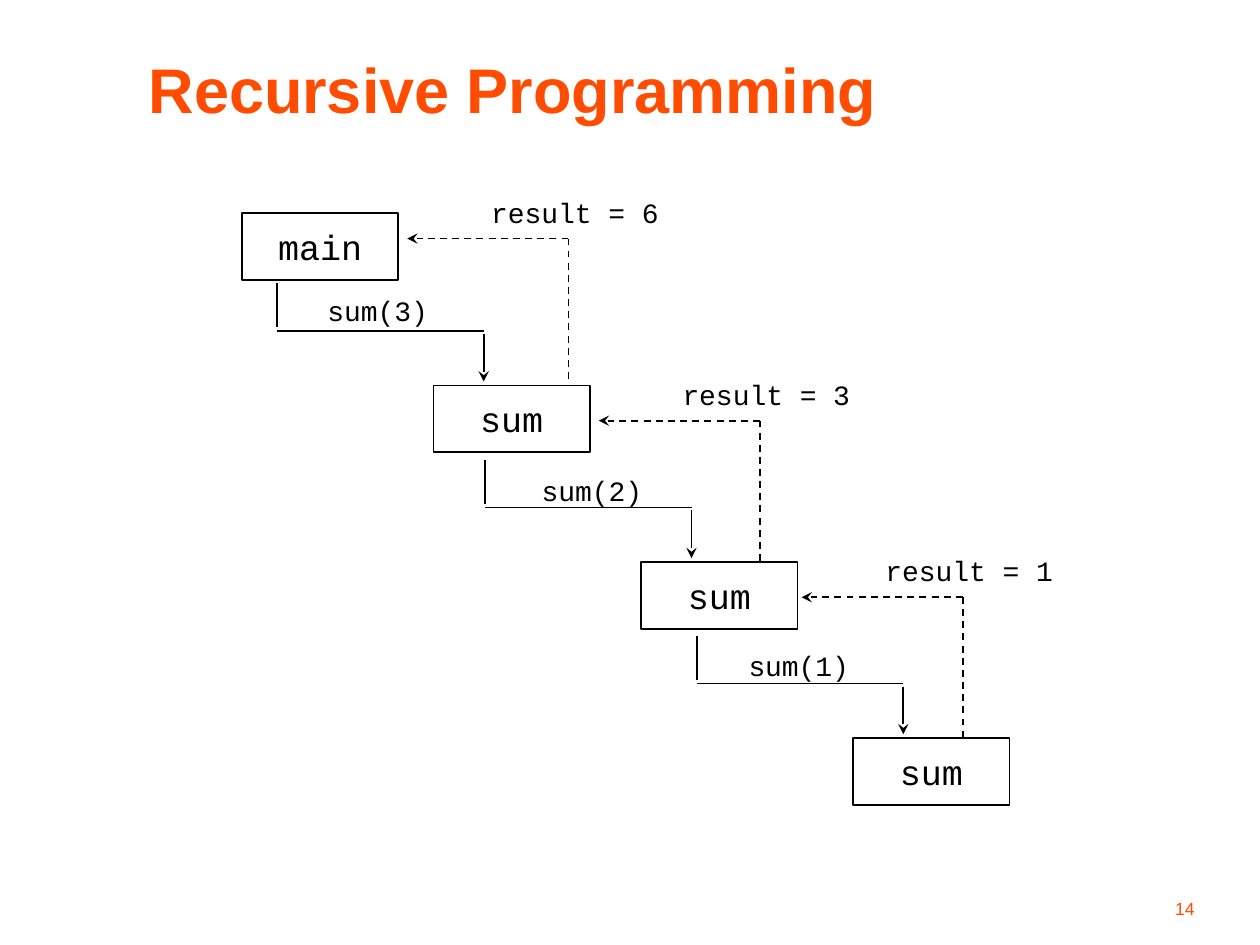
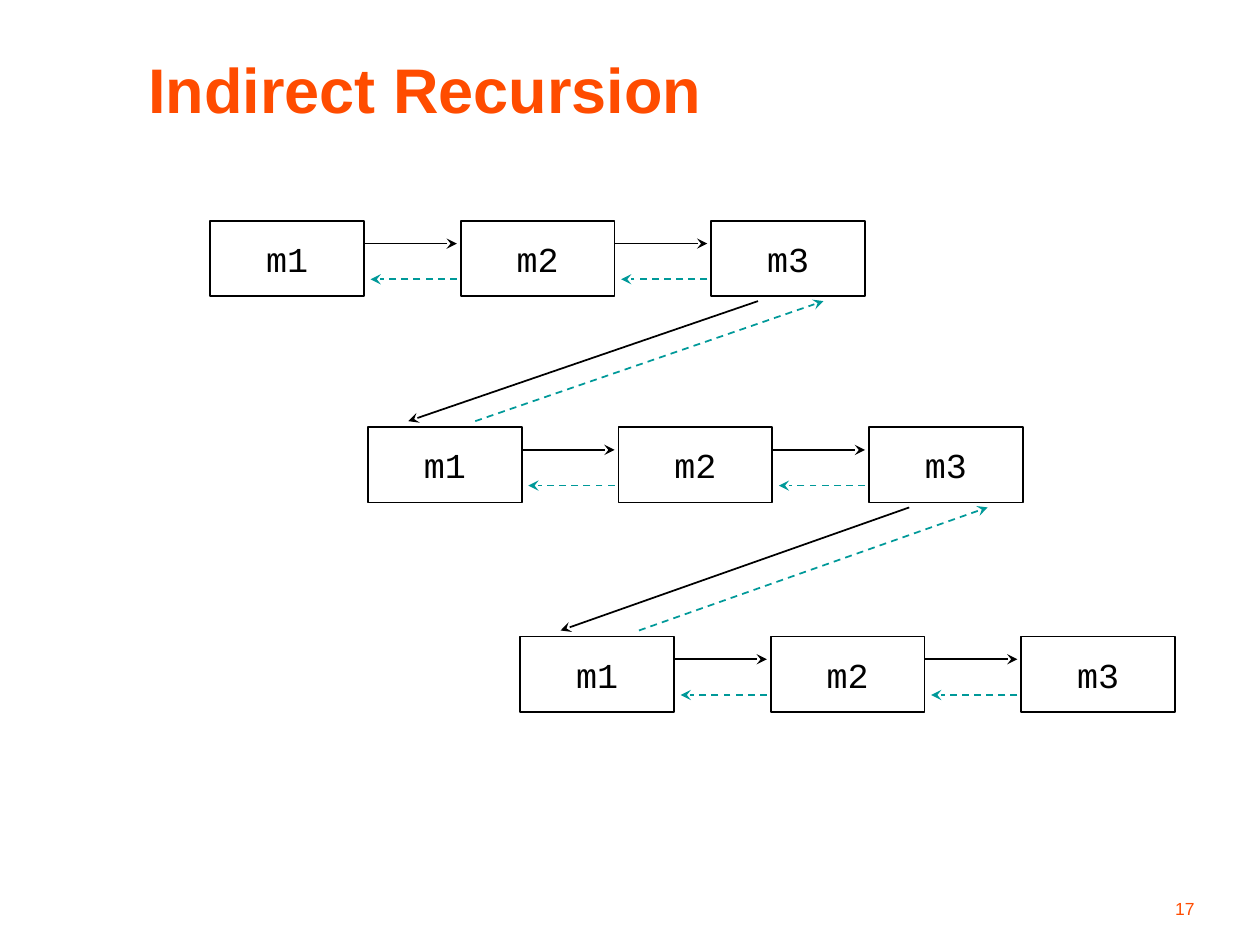
from dataclasses import dataclass

from pptx import Presentation
from pptx.dml.color import RGBColor
from pptx.enum import dml, shapes, text
from pptx.oxml import ns
from pptx.util import Cm, Pt
from lxml import etree


@dataclass(frozen=True)
class Theme:
    accent: RGBColor = RGBColor(0xFF, 0x4C, 0x00)
    ink: RGBColor = RGBColor(0x00, 0x00, 0x00)
    teal: RGBColor = RGBColor(0x00, 0x99, 0x99)
    heading_font: str = "Arial"
    code_font: str = "Courier New"
    title_size: int = 36
    box_size: int = 20
    label_size: int = 16
    number_size: int = 10
    line_width: int = 1


THEME = Theme()
TITLE_ONLY = 5


@dataclass(frozen=True)
class Box:
    """A rectangle in centimetres."""
    left: float
    top: float
    width: float
    height: float

    @property
    def right(self):
        return self.left + self.width

    @property
    def bottom(self):
        return self.top + self.height

    def lengths(self):
        return [Cm(value) for value in (self.left, self.top, self.width, self.height)]


TITLE_BOX = Box(2.74, 0.84, 22.02, 1.9)
NUMBER_BOX = Box(19.05, 17.58, 5.28, 1.07)


@dataclass(frozen=True)
class Step:
    """One recursive call; offsets run from the corner of the called box."""
    box: Box
    call: str
    call_offset: tuple
    result: str
    return_offset: tuple


MAIN_BOX = Box(4.88, 4.29, 3.15, 1.35)
STEPS = [
    Step(Box(8.74, 7.77, 3.15, 1.35), "sum(3)", (-2.39, -1.98), "result = 6", (2.72, -2.96)),
    Step(Box(12.93, 11.33, 3.15, 1.35), "sum(2)", (-2.26, -1.9), "result = 3", (2.39, -2.85)),
    Step(Box(17.2, 14.88, 3.15, 1.35), "sum(1)", (-2.36, -1.93), "result = 1", (2.21, -2.84)),
]

METHODS = ["m1", "m2", "m3"]
METHOD_PITCH = 5.05
ROW_STARTS = [Box(4.24, 4.45, 3.1, 1.52), Box(7.42, 8.61, 3.1, 1.52), Box(10.49, 12.83, 3.1, 1.52)]
# Offsets from the left of m3 above and m1 below: call (m3, m1), return (m1, m3)
ROW_LINKS = [((0.94, 0.81), (2.16, 2.26)), ((0.81, 0.81), (2.39, 2.39))]


def write(shape, content, font, size, color, align, anchor, bold=False, wrap=False):
    frame = shape.text_frame
    frame.text = content
    frame.word_wrap = wrap
    frame.auto_size = text.MSO_AUTO_SIZE.NONE
    frame.vertical_anchor = anchor
    paragraph = frame.paragraphs[0]
    paragraph.alignment = align
    run_font = paragraph.runs[0].font
    run_font.name = font
    run_font.size = Pt(size)
    run_font.bold = bold
    run_font.color.rgb = color


def add_titled_slide(presentation, title, number):
    slide = presentation.slides.add_slide(presentation.slide_layouts[TITLE_ONLY])
    heading = slide.shapes.title
    heading.left, heading.top, heading.width, heading.height = TITLE_BOX.lengths()
    write(heading, title, THEME.heading_font, THEME.title_size, THEME.accent,
          text.PP_ALIGN.LEFT, text.MSO_ANCHOR.MIDDLE, bold=True, wrap=True)
    footer = slide.shapes.add_textbox(*NUMBER_BOX.lengths())
    write(footer, number, THEME.heading_font, THEME.number_size, THEME.accent,
          text.PP_ALIGN.RIGHT, text.MSO_ANCHOR.BOTTOM, wrap=True)
    return slide


def add_code_box(slide, box, name):
    shape = slide.shapes.add_shape(shapes.MSO_SHAPE.RECTANGLE, *box.lengths())
    shape.shadow.inherit = False
    shape.fill.background()
    shape.line.color.rgb = THEME.ink
    shape.line.width = Pt(THEME.line_width)
    write(shape, name, THEME.code_font, THEME.box_size, THEME.ink,
          text.PP_ALIGN.CENTER, text.MSO_ANCHOR.MIDDLE)


def add_label(slide, box, content):
    label = slide.shapes.add_textbox(*box.lengths())
    write(label, content, THEME.code_font, THEME.label_size, THEME.ink,
          text.PP_ALIGN.LEFT, text.MSO_ANCHOR.TOP)


def add_line(slide, start, end, color=THEME.ink, dashed=False, arrow=False):
    ends = [Cm(value) for value in (*start, *end)]
    connector = slide.shapes.add_connector(shapes.MSO_CONNECTOR.STRAIGHT, *ends)
    line = connector.line
    line.color.rgb = color
    line.width = Pt(THEME.line_width)
    if dashed:
        line.dash_style = dml.MSO_LINE.DASH
    properties = connector.element.spPr
    if arrow:
        outline = properties.find(ns.qn("a:ln"))
        etree.SubElement(outline, ns.qn("a:tailEnd"), type="stealth")
    etree.SubElement(properties, ns.qn("a:effectLst"))


def add_call(slide, step):
    """Draws the solid path that leads down into the called box."""
    left, top = step.box.left, step.box.top
    start, end = left - 3.15, left + 1.01
    add_line(slide, (start, top - 2.06), (start, top - 1.17))
    add_line(slide, (start, top - 1.1), (end, top - 1.1))
    add_line(slide, (end, top - 1.04), (end, top - 0.08), arrow=True)
    dx, dy = step.call_offset
    add_label(slide, Box(left + dx, top + dy, 2.54, 0.94), step.call)


def add_return(slide, step):
    """Draws the dashed path that leads back up to the caller."""
    dx, dy = step.return_offset
    left, top = step.box.left + dx, step.box.top + dy
    add_line(slide, (left, top + 2.83), (left, top), dashed=True)
    add_line(slide, (left, top), (left - 3.25, top), dashed=True, arrow=True)
    add_label(slide, Box(left - 1.81, top - 1, 3.89, 0.94), step.result)


def add_call_chain_slide(presentation):
    slide = add_titled_slide(presentation, "Recursive Programming", "14")
    add_code_box(slide, MAIN_BOX, "main")
    for step in STEPS:
        add_code_box(slide, step.box, "sum")
        add_call(slide, step)
        add_return(slide, step)


def add_method_row(slide, first):
    """Draws m1 to m3 with calls and returns; gives back the last box."""
    row = [Box(first.left + i * METHOD_PITCH, first.top, first.width, first.height)
           for i in range(len(METHODS))]
    for box, name in zip(row, METHODS):
        add_code_box(slide, box, name)
    call_y, return_y = first.top + 0.46, first.top + 1.18
    for box in row[:-1]:
        add_line(slide, (box.right, call_y), (box.right + 1.87, call_y), arrow=True)
        add_line(slide, (box.right + 1.87, return_y), (box.right + 0.13, return_y),
                 THEME.teal, dashed=True, arrow=True)
    return row[-1]


def add_row_link(slide, upper, lower, call, back):
    upper_y, lower_y = upper.bottom + 0.1, lower.top - 0.12
    add_line(slide, (upper.left + call[0], upper_y), (lower.left + call[1], lower_y), arrow=True)
    add_line(slide, (lower.left + back[0], lower_y), (upper.left + back[1], upper_y),
             THEME.teal, dashed=True, arrow=True)


def add_indirect_slide(presentation):
    slide = add_titled_slide(presentation, "Indirect Recursion", "17")
    row_ends = [add_method_row(slide, first) for first in ROW_STARTS]
    for upper, lower, (call, back) in zip(row_ends, ROW_STARTS[1:], ROW_LINKS):
        add_row_link(slide, upper, lower, call, back)


def main():
    presentation = Presentation()
    presentation.slide_width, presentation.slide_height = Cm(25.4), Cm(19.05)
    add_call_chain_slide(presentation)
    add_indirect_slide(presentation)
    presentation.save("out.pptx")


if __name__ == "__main__":
    main()
